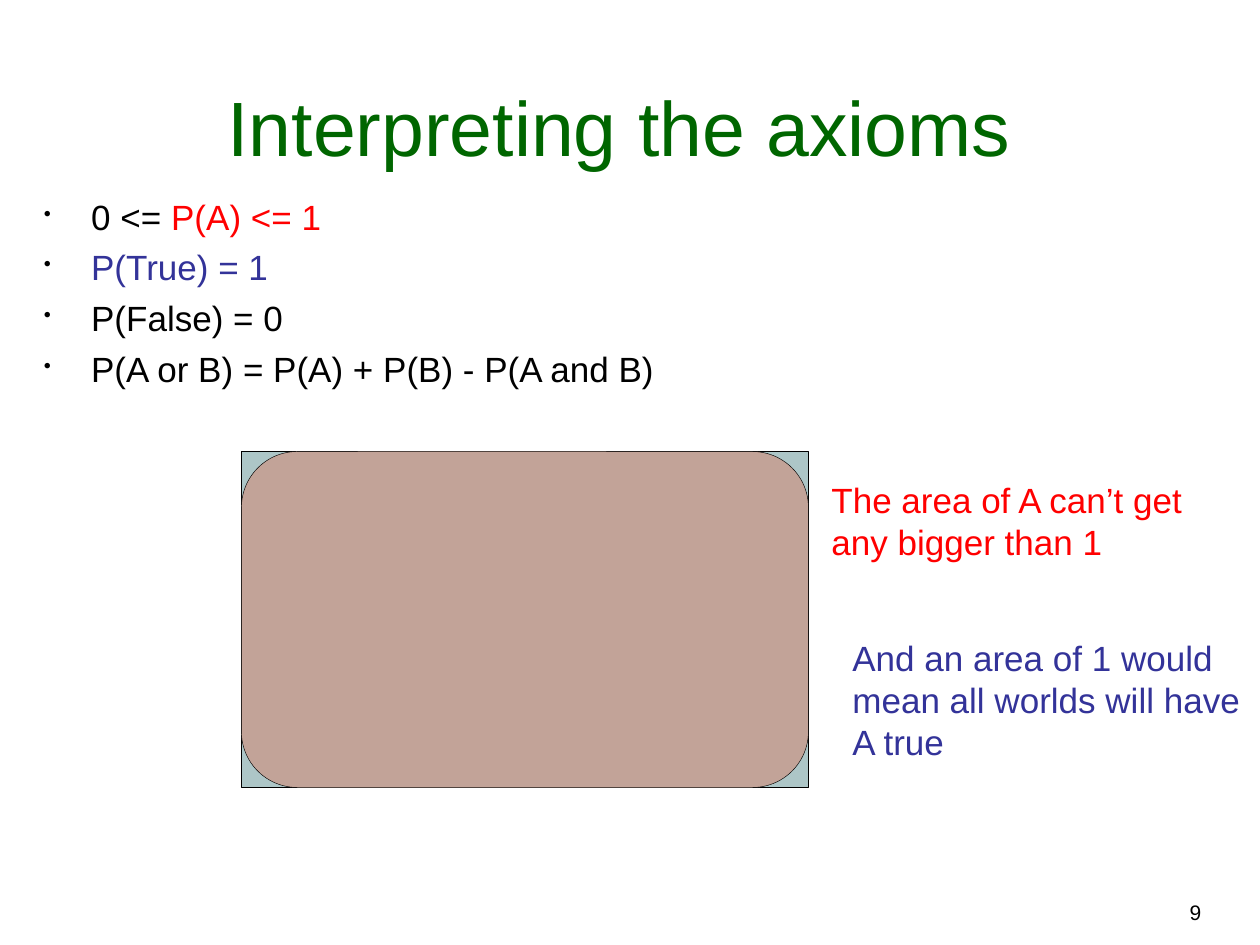
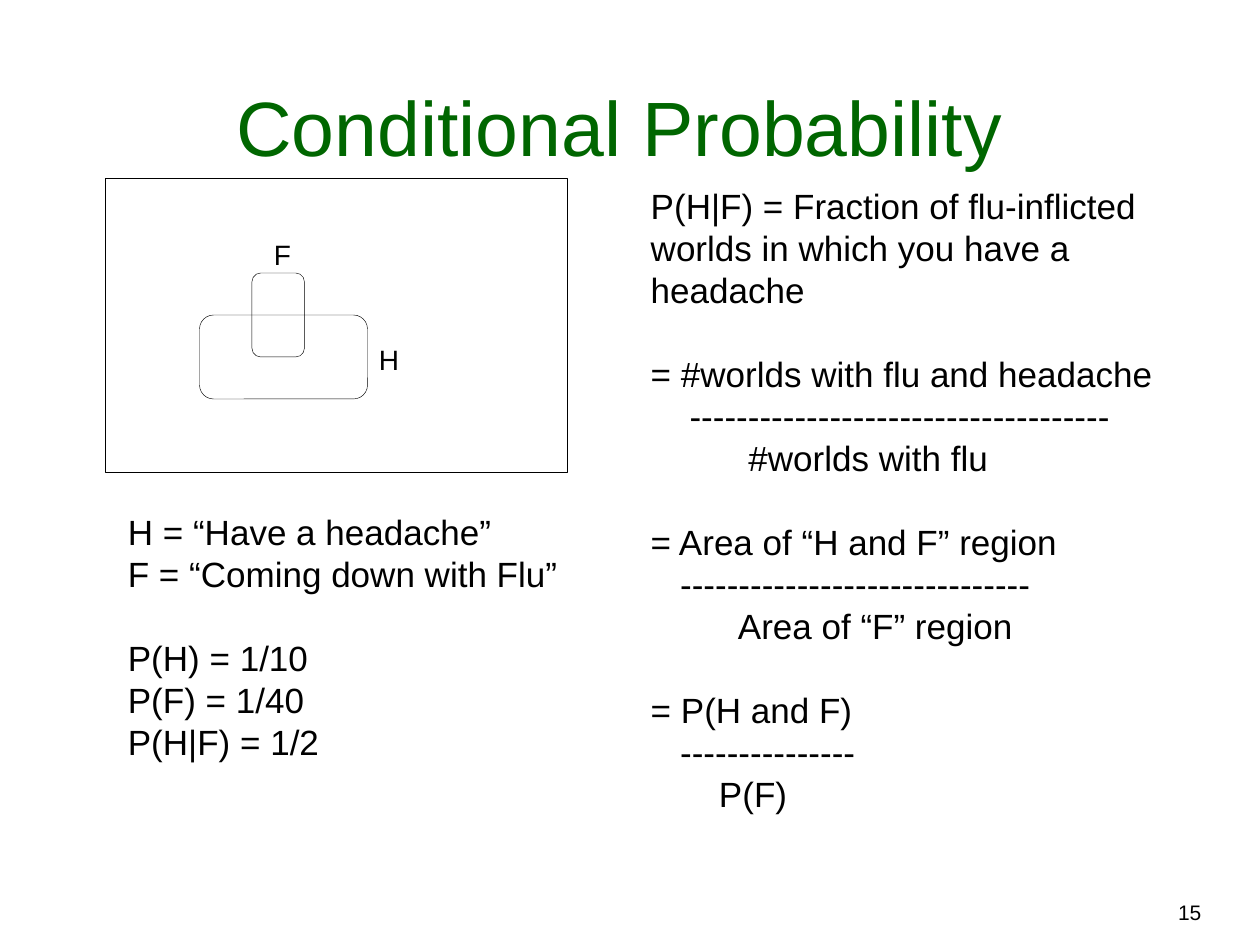
from lxml import etree
from pptx import Presentation
from pptx.dml.color import RGBColor
from pptx.enum.shapes import MSO_SHAPE
from pptx.enum.text import MSO_ANCHOR, PP_ALIGN
from pptx.oxml.ns import qn
from pptx.util import Pt

PX = 7620  # 120 px to the inch
FONT = "Arial"
BLACK = RGBColor(0x00, 0x00, 0x00)
GREEN = RGBColor(0x00, 0x66, 0x00)
RED = RGBColor(0xFF, 0x00, 0x00)
BLUE = RGBColor(0x33, 0x33, 0x99)
TEAL = RGBColor(0xAD, 0xC6, 0xC7)
ROSE = RGBColor(0xC2, 0xA3, 0x98)
RECT, ROUND = MSO_SHAPE.RECTANGLE, MSO_SHAPE.ROUNDED_RECTANGLE
LEFT, CENTER, RIGHT = PP_ALIGN.LEFT, PP_ALIGN.CENTER, PP_ALIGN.RIGHT
TOP, BOTTOM = MSO_ANCHOR.TOP, MSO_ANCHOR.BOTTOM
HANG = 45


def write(slide, box, lines, size=20, color=BLACK, align=LEFT, anchor=TOP,
          wrap=True, bullet=False, gaps=None, indents=None):
    """Add text; a line is a string or a list of (text, colour) runs.
    gaps (points) and indents (px) are keyed by line number."""
    frame = slide.shapes.add_textbox(*[n * PX for n in box]).text_frame
    frame.word_wrap = wrap
    frame.vertical_anchor = anchor
    for i, line in enumerate(lines):
        para = frame.paragraphs[0] if i == 0 else frame.add_paragraph()
        para.alignment = align
        props = para._p.get_or_add_pPr()
        if bullet:
            props.set("marL", str(HANG * PX))
            props.set("indent", str(-HANG * PX))
            tint = etree.SubElement(props, qn("a:buClr"))
            etree.SubElement(tint, qn("a:srgbClr"), val=str(BLACK))
            etree.SubElement(props, qn("a:buSzPct"), val="60000")
            etree.SubElement(props, qn("a:buChar"), char="•")
        elif indents and i in indents:
            props.set("marL", str(indents[i] * PX))
        if gaps and i in gaps:
            para.space_before = Pt(gaps[i])
        runs = [(line, color)] if isinstance(line, str) else line
        for text, tone in runs:
            run = para.add_run()
            run.text = text
            run.font.name = FONT
            run.font.size = Pt(size)
            run.font.color.rgb = tone


def draw(slide, kind, box, fill=None):
    shape = slide.shapes.add_shape(kind, *[n * PX for n in box])
    shape.shadow.inherit = False
    if fill is None:
        shape.fill.background()
    else:
        shape.fill.solid()
        shape.fill.fore_color.rgb = fill
    shape.line.color.rgb = BLACK
    shape.line.width = Pt(0.25)


deck = Presentation()
deck.slide_width, deck.slide_height = 1200 * PX, 900 * PX

# Title and page number on each slide
slides = []
for title, page in [("Interpreting the axioms", "9"),
                    ("Conditional Probability", "15")]:
    slide = deck.slides.add_slide(deck.slide_layouts[6])
    write(slide, (686, 851, 470, 36), [page], size=12, align=RIGHT)
    write(slide, (30, 30, 1120, 140), [title], size=44, color=GREEN,
          align=CENTER, anchor=BOTTOM)
    slides.append(slide)
axioms, cond = slides

# Axioms: list
write(axioms, (30, 180, 650, 210), [
    [("0 <= ", BLACK), ("P(A) <= 1", RED)],
    [("P(True) = 1", BLUE)],
    "P(False) = 0",
    "P(A or B) = P(A) + P(B) - P(A and B)",
], bullet=True, gaps={1: 5, 2: 5, 3: 5})

# Axioms: A fills the whole world
world = (230, 430, 540, 320)
draw(axioms, RECT, world, TEAL)
draw(axioms, ROUND, world, ROSE)
write(axioms, (780, 450, 400, 92),
      ["The area of A can’t get any bigger than 1"], color=RED)
write(axioms, (800, 600, 400, 132),
      ["And an area of 1 would mean all worlds will have A true"], color=BLUE)

# Conditional: diagram of H and F
draw(cond, RECT, (100, 170, 440, 280))
draw(cond, ROUND, (190, 300, 160, 80))
draw(cond, ROUND, (240, 260, 50, 80))
for name, box in [("F", (249, 220, 40, 44)), ("H", (349, 320, 43, 44))]:
    write(cond, box, [name], size=16, align=CENTER, wrap=False)

# Conditional: meanings and values
write(cond, (110, 480, 440, 252), [
    "H = “Have a headache”",
    "F = “Coming down with Flu”",
    "P(H) = 1/10",
    "P(F) = 1/40",
    "P(H|F) = 1/2",
], gaps={2: 24})

# Conditional: the fraction, worked in three steps
write(cond, (608, 170, 557, 612), [
    "P(H|F) = Fraction of flu-inflicted worlds in which you have a headache",
    "= #worlds with flu and headache",
    "-" * 36,
    "#worlds with flu",
    "= Area of “H and F” region",
    "-" * 30,
    "Area of “F” region",
    "= P(H and F)",
    "-" * 15,
    "P(F)",
], gaps={1: 24, 4: 24, 7: 24},
    indents={2: 37, 3: 93, 5: 28, 6: 83, 8: 28, 9: 65})

deck.save("out.pptx")
